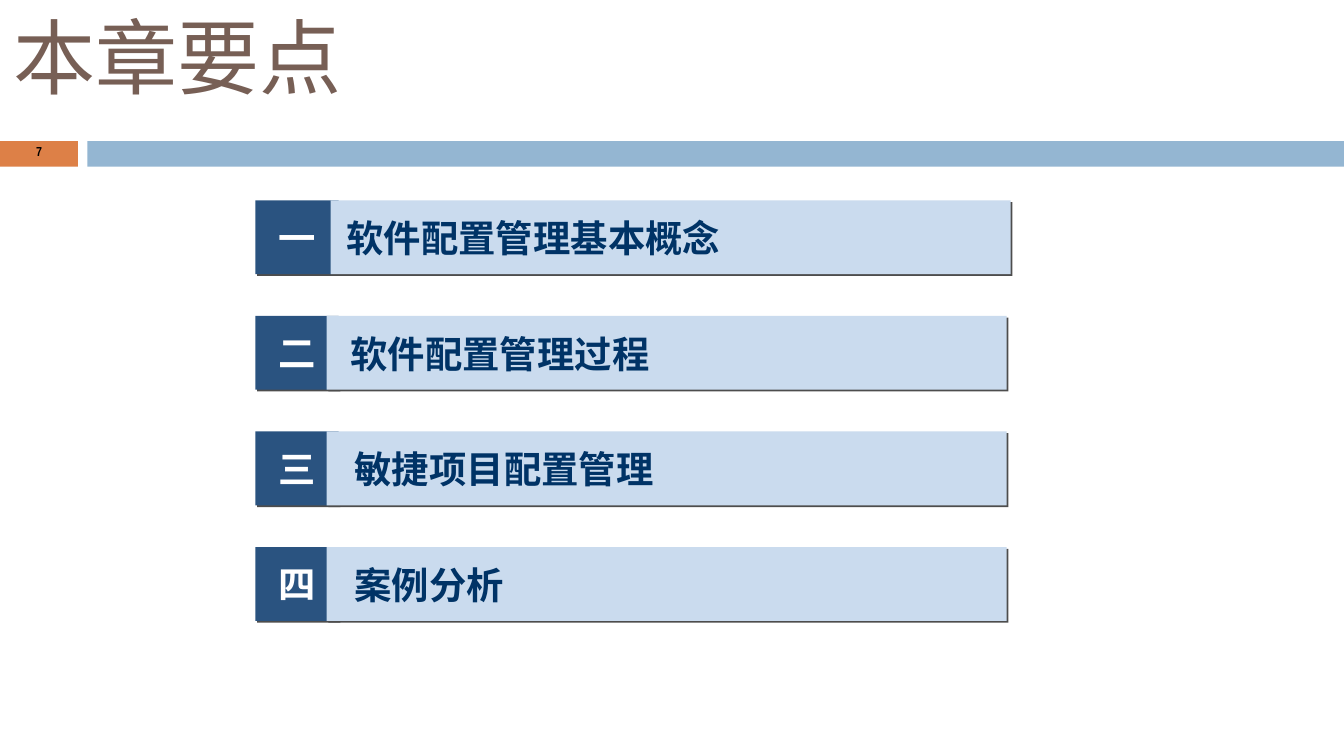
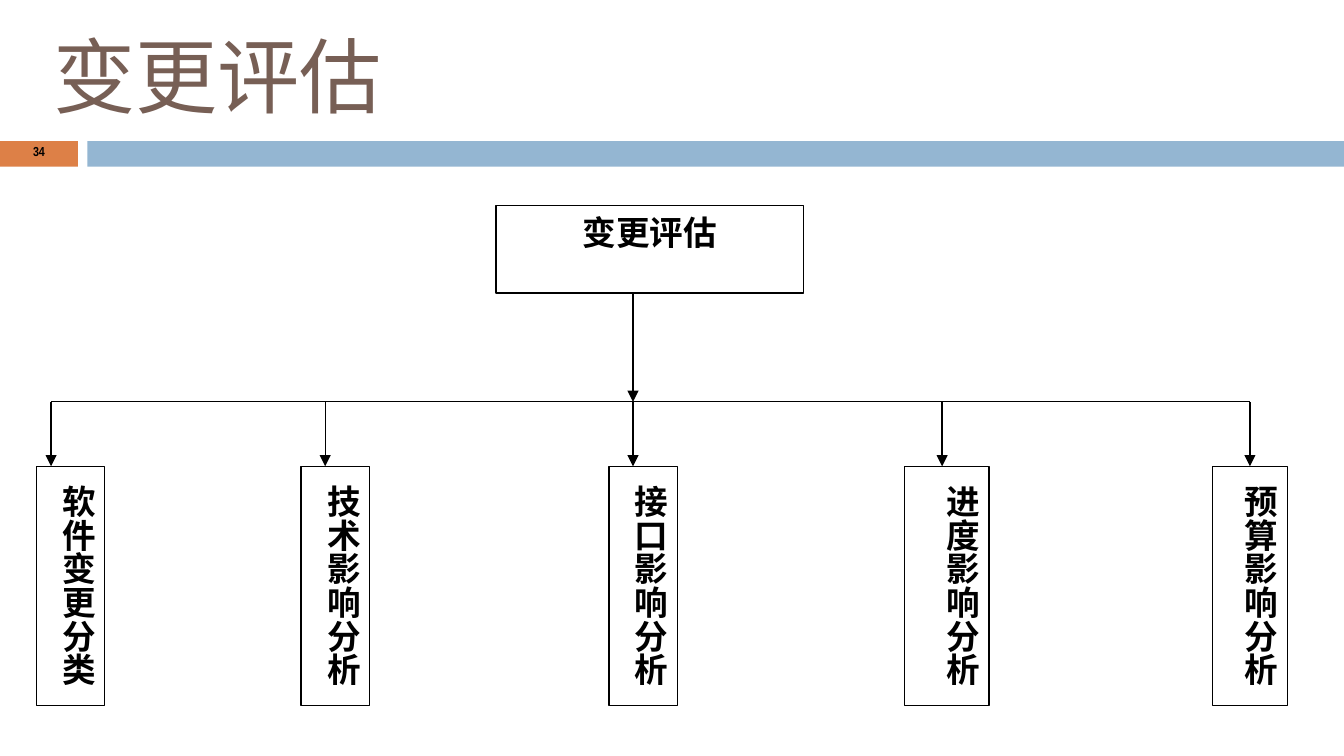
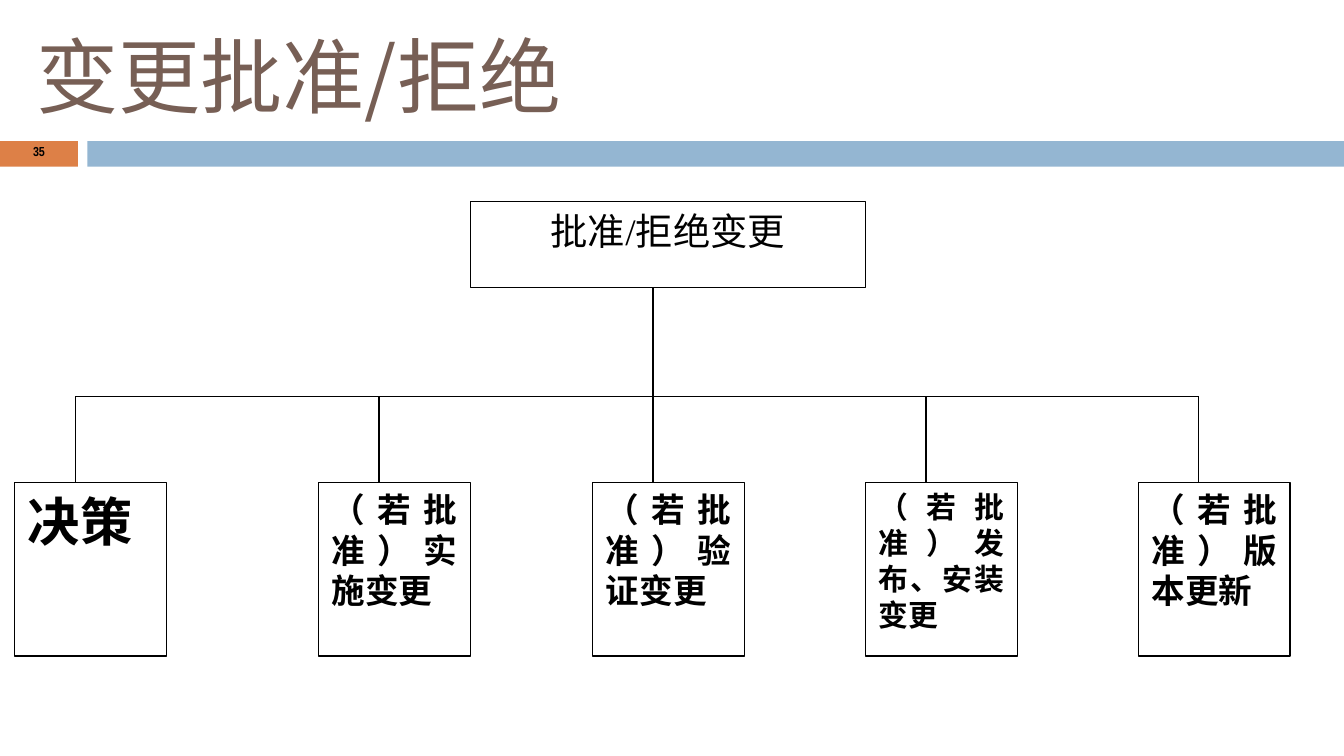
import pptx
import pptx.util
import pptx.dml.color
import pptx.enum.shapes
import pptx.enum.text
import pptx.oxml
import pptx.oxml.ns

Inches = pptx.util.Inches
Pt = pptx.util.Pt
ALIGN = pptx.enum.text.PP_ALIGN
ANCHOR = pptx.enum.text.MSO_ANCHOR
SHAPE = pptx.enum.shapes.MSO_SHAPE

COLORS = {
    "title": "775F55", "page_band": "DD8047", "wide_band": "94B6D2",
    "number": "2A5380", "bar": "CADBEE", "topic": "003366",
    "shadow": "4D4D4D", "ink": "000000", "paper": "FFFFFF",
}
FONTS = {"title": "Noto Sans CJK SC", "page": "Arial Narrow", "box": "Times New Roman"}

AGENDA = {
    "title": "本章要点", "title_at": (0, 0), "page": "7",
    "topics": [
        ("一", "软件配置管理基本概念", 2.46, 2.46, 4.8),
        ("二", "软件配置管理过程", 2.43, 2.49, 4.8),
        ("三", "敏捷项目配置管理", 2.43, 2.52, 4.73),
        ("四", "案例分析", 2.43, 2.52, 4.41),
    ],
}
TREES = [
    {
        "title": "变更评估", "title_at": (0.3, 0.14), "page": "34",
        "root": ("变更评估", (3.69, 1.53, 2.29, 0.65), 18, True),
        "bus_y": 2.99, "trunk_x": 4.71, "top": 3.47, "height": 1.78,
        "vertical": True, "arrows": True,
        "branches": [
            ("软件变更分类", 0.27, 0.51, 0.38, 18, ALIGN.JUSTIFY),
            ("技术影响分析", 2.24, 0.51, 2.42, 18, ALIGN.JUSTIFY),
            ("接口影响分析", 4.53, 0.51, 4.71, 18, ALIGN.CENTER),
            ("进度影响分析", 6.73, 0.63, 7.01, 18, ALIGN.JUSTIFY),
            ("预算影响分析", 9.02, 0.56, 9.3, 18, ALIGN.JUSTIFY),
        ],
    },
    {
        "title": "变更批准/拒绝", "title_at": (0.17, 0.14), "page": "35",
        "root": ("批准/拒绝变更", (3.5, 1.5, 2.94, 0.64), 20, False),
        "bus_y": 2.95, "trunk_x": 4.86, "top": 3.59, "height": 1.29,
        "vertical": False, "arrows": False,
        "branches": [
            ("决策", 0.11, 1.13, 0.56, 28, ALIGN.JUSTIFY),
            ("（若批准）实施变更", 2.37, 1.13, 2.82, 18, ALIGN.JUSTIFY),
            ("（若批准）验证变更", 4.41, 1.13, 4.86, 18, ALIGN.JUSTIFY),
            ("（若批准）发布、安装变更", 6.44, 1.13, 6.89, 16, ALIGN.JUSTIFY),
            ("（若批准）版本更新", 8.47, 1.13, 8.92, 18, ALIGN.JUSTIFY),
        ],
    },
]


def rgb(name):
    return pptx.dml.color.RGBColor.from_string(COLORS[name])


def write(shape, text, font, size, color, bold=False, align=ALIGN.LEFT,
          anchor=ANCHOR.TOP, margins=(0.1, 0.05, 0.05), spacing=None):
    side, top, bottom = map(Inches, margins)
    frame = shape.text_frame
    frame.word_wrap = True
    frame.vertical_anchor = anchor
    frame.margin_left = frame.margin_right = side
    frame.margin_top, frame.margin_bottom = top, bottom
    paragraph = frame.paragraphs[0]
    paragraph.text = text
    paragraph.alignment = align
    paragraph.line_spacing = spacing
    paragraph._p.get_or_add_pPr().set("hangingPunct", "0")
    paragraph.font.name = FONTS[font]
    paragraph.font.size = Pt(size)
    paragraph.font.bold = bold
    paragraph.font.color.rgb = rgb(color)


def add_box(slide, at, fill=None, line=None, kind=SHAPE.RECTANGLE):
    box = slide.shapes.add_shape(kind, *map(Inches, at))
    box.shadow.inherit = False
    if fill:
        box.fill.solid()
        box.fill.fore_color.rgb = rgb(fill)
    else:
        box.fill.background()
    if line:
        box.line.color.rgb = rgb(line)
        box.line.width = Pt(0.75)
    else:
        box.line.fill.background()
    return box


def cast_shadow(box):
    effects = box._element.spPr.find(pptx.oxml.ns.qn("a:effectLst"))
    effects.append(pptx.oxml.parse_xml(
        f'<a:outerShdw {pptx.oxml.ns.nsdecls("a")} blurRad="0" dist="{Pt(1.4)}" '
        f'dir="2700000" algn="ctr" rotWithShape="0">'
        f'<a:srgbClr val="{COLORS["shadow"]}"/></a:outerShdw>'))


def add_line(slide, start, end, arrow=False):
    line = slide.shapes.add_connector(
        pptx.enum.shapes.MSO_CONNECTOR.STRAIGHT, *map(Inches, start + end))
    line.line.color.rgb = rgb("ink")
    line.line.width = Pt(0.75)
    properties = line._element.spPr
    if arrow:
        head = pptx.oxml.parse_xml(
            f'<a:tailEnd {pptx.oxml.ns.nsdecls("a")} type="triangle"/>')
        properties.find(pptx.oxml.ns.qn("a:ln")).append(head)
    properties.append(pptx.oxml.parse_xml(
        f'<a:effectLst {pptx.oxml.ns.nsdecls("a")}/>'))
    return line


def add_framed_slide(deck, content):
    slide = deck.slides.add_slide(deck.slide_layouts[6])
    add_box(slide, (0, 1.05, 0.58, 0.19), "page_band")
    add_box(slide, (0.65, 1.05, 9.35, 0.19), "wide_band")
    title = slide.shapes.add_textbox(*map(Inches, content["title_at"] + (8.5, 0.94)))
    write(title, content["title"], "title", 44, "title")
    page = slide.shapes.add_textbox(*map(Inches, (0, 1.04, 0.58, 0.2)))
    write(page, content["page"], "page", 7, "ink", True, ALIGN.CENTER,
          ANCHOR.MIDDLE, spacing=0.8)
    return slide


def build_agenda(deck, content):
    slide = add_framed_slide(deck, content)
    for row, (number, topic, bar_x, topic_x, topic_w) in enumerate(content["topics"]):
        y = 1.49 + 0.86 * row
        number_box = add_box(slide, (1.9, y, 0.62, 0.55), "number")
        cast_shadow(number_box)
        write(number_box, number, "title", 20, "paper", True, ALIGN.CENTER, ANCHOR.MIDDLE)
        cast_shadow(add_box(slide, (bar_x, y, 5.06, 0.55), "bar"))
        topic_box = add_box(slide, (topic_x, y + 0.08, topic_w, 0.4),
                            kind=SHAPE.ROUNDED_RECTANGLE)
        write(topic_box, topic, "title", 20, "topic", True, anchor=ANCHOR.MIDDLE)


def build_tree(deck, content):
    slide = add_framed_slide(deck, content)
    bus_y, trunk_x, top = content["bus_y"], content["trunk_x"], content["top"]
    arrows, branches = content["arrows"], content["branches"]

    label, root_at, size, bold = content["root"]
    root = add_box(slide, root_at, "paper", "ink")
    write(root, label, "box", size, "ink", bold, ALIGN.CENTER)

    add_line(slide, (branches[0][3], bus_y), (branches[-1][3], bus_y))
    trunk_end = bus_y if arrows else top
    add_line(slide, (trunk_x, root_at[1] + root_at[3]), (trunk_x, trunk_end), arrows)

    margins = (0.05, 0.14, 0.06) if content["vertical"] else (0.1, 0.05, 0.05)
    for label, left, width, drop_x, size, align in branches:
        branch = add_box(slide, (left, top, width, content["height"]), "paper", "ink")
        write(branch, label, "box", size, "ink", True, align, margins=margins)
        if content["vertical"]:
            branch.text_frame._txBody.bodyPr.set("vert", "eaVert")
        if drop_x == trunk_x and not arrows:
            continue
        drop = add_line(slide, (drop_x, bus_y), (drop_x, top), arrows)
        if abs(left + width / 2 - drop_x) < 0.005:
            drop.end_connect(branch, 0)


def main():
    deck = pptx.Presentation()
    deck.slide_width = Inches(10)
    deck.slide_height = deck.slide_width * 9 // 16
    build_agenda(deck, AGENDA)
    for tree in TREES:
        build_tree(deck, tree)
    deck.save("out.pptx")


if __name__ == "__main__":
    main()
